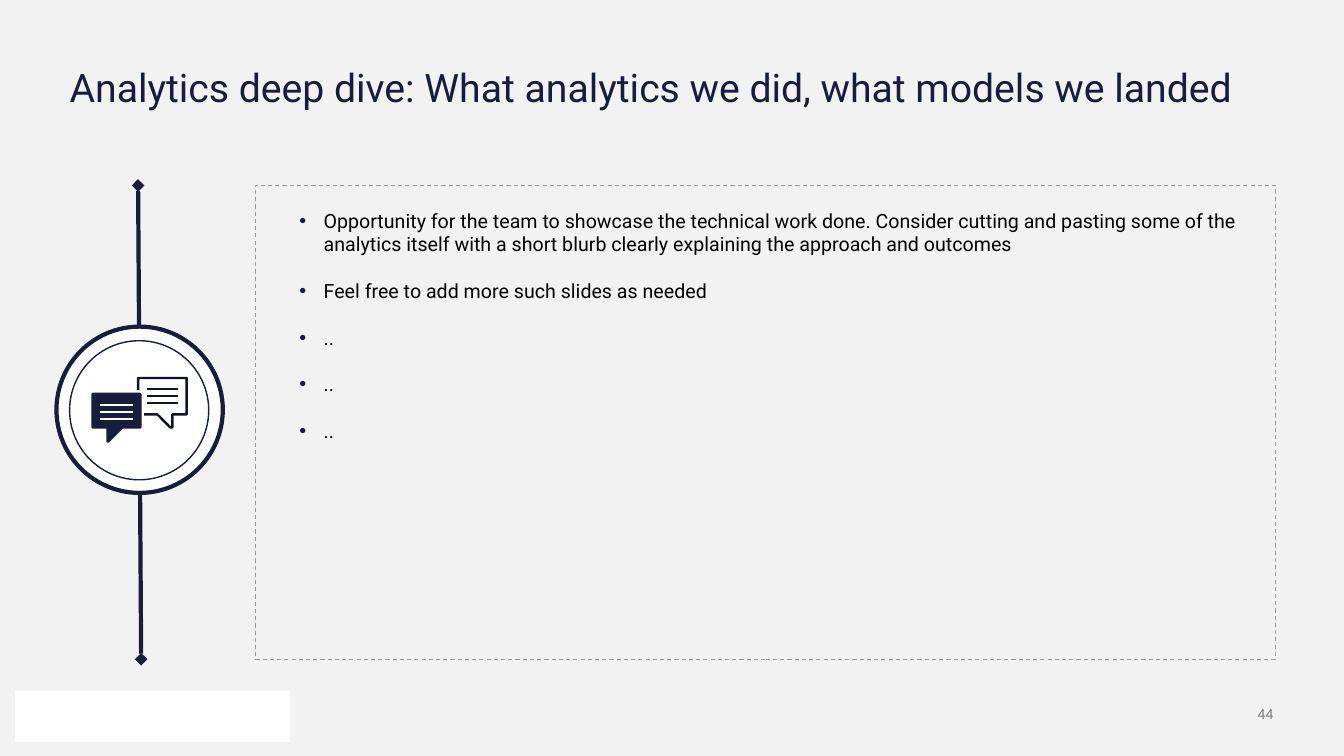
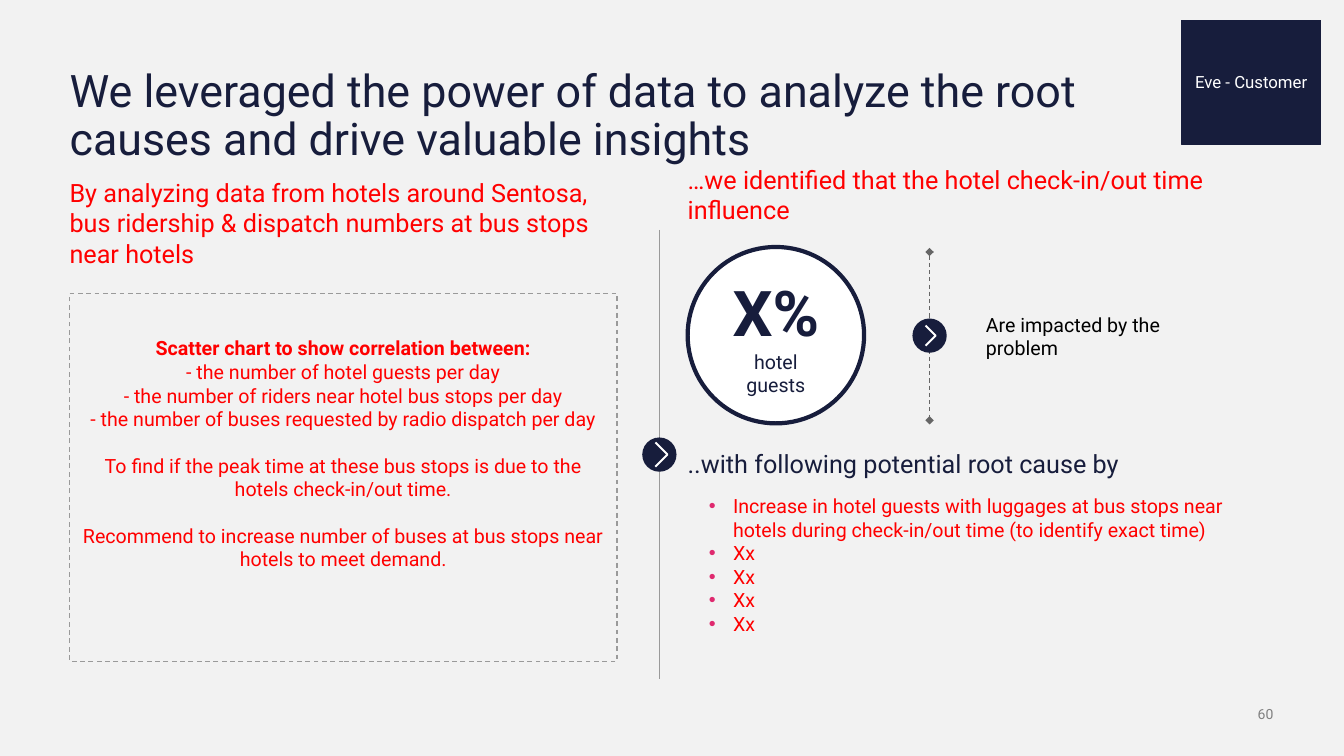
from dataclasses import dataclass
from typing import Optional, Sequence

from lxml import etree
from pptx import Presentation
from pptx.dml.color import RGBColor
from pptx.enum.dml import MSO_LINE
from pptx.enum.shapes import MSO_CONNECTOR, MSO_SHAPE
from pptx.enum.text import MSO_ANCHOR, MSO_AUTO_SIZE, PP_ALIGN
from pptx.oxml.ns import qn
from pptx.util import Inches, Pt

RECTANGLE, ELLIPSE = MSO_SHAPE.RECTANGLE, MSO_SHAPE.OVAL
STRAIGHT = MSO_CONNECTOR.STRAIGHT
DASH = MSO_LINE.DASH
TOP, MIDDLE, BOTTOM = MSO_ANCHOR.TOP, MSO_ANCHOR.MIDDLE, MSO_ANCHOR.BOTTOM
LEFT, CENTER, RIGHT = PP_ALIGN.LEFT, PP_ALIGN.CENTER, PP_ALIGN.RIGHT

NAVY = RGBColor(0x17, 0x1D, 0x3C)
DARK_NAVY = RGBColor(0x0F, 0x13, 0x27)
WHITE = RGBColor(0xFF, 0xFF, 0xFF)
BLACK = RGBColor(0x00, 0x00, 0x00)
RED = RGBColor(0xFF, 0x00, 0x00)
PINK = RGBColor(0xDF, 0x2A, 0x6F)
PALE_GREY = RGBColor(0xF2, 0xF2, 0xF2)
LINE_GREY = RGBColor(0x9A, 0x9A, 0x9A)
ARROW_GREY = RGBColor(0x66, 0x66, 0x66)
NUMBER_GREY = RGBColor(0x80, 0x80, 0x80)

FONT = "Roboto"
BLANK_LINE = 16.5
Point = tuple[float, float]
NO_INSETS = (0, 0, 0, 0)
BOX_INSETS = (0.1, 0.05, 0.1, 0.05)


@dataclass(frozen=True)
class Area:
    left: float
    top: float
    width: float
    height: float

    def lengths(self):
        return [Inches(n) for n in (self.left, self.top, self.width, self.height)]


@dataclass(frozen=True)
class Line:
    text: str
    size: float = 14
    colour: RGBColor = BLACK
    bold: bool = False
    before: float = 0


@dataclass(frozen=True)
class Stroke:
    colour: RGBColor
    width: float = 0.75
    dashed: bool = False


@dataclass(frozen=True)
class Bubble:
    outline: Sequence[Point]
    stroke: Stroke
    fill: Optional[RGBColor]
    rules: Stroke
    rule_left: float
    rule_right: float
    rule_top: float


BUBBLES = (
    Bubble([(0.92, 3.91), (1.39, 3.91), (1.39, 4.24), (1.21, 4.24),
            (1.07, 4.38), (1.07, 4.24), (0.92, 4.24), (0.92, 3.91)],
           Stroke(NAVY, 2), NAVY, Stroke(WHITE, 1.5), 0.99, 1.32, 4.02),
    Bubble([(1.37, 3.87), (1.37, 3.75), (1.85, 3.75), (1.85, 4.11), (1.71, 4.11),
            (1.71, 4.24), (1.69, 4.24), (1.56, 4.11), (1.43, 4.11)],
           Stroke(DARK_NAVY, 1.75), None, Stroke(DARK_NAVY, 1.75), 1.46, 1.77, 3.86),
)
RULE_GAP = 0.07


def apply_stroke(line, stroke: Stroke) -> None:
    line.color.rgb = stroke.colour
    line.width = Pt(stroke.width)
    if stroke.dashed:
        line.dash_style = DASH


def style_shape(shape, fill: Optional[RGBColor], stroke: Optional[Stroke]) -> None:
    shape.shadow.inherit = False
    if fill is None:
        shape.fill.background()
    else:
        shape.fill.solid()
        shape.fill.fore_color.rgb = fill
    if stroke is None:
        shape.line.fill.background()
    else:
        apply_stroke(shape.line, stroke)


def write_lines(shape, lines: Sequence[Line], align=LEFT, anchor=TOP,
                insets=BOX_INSETS, spacing: float = 1.0) -> None:
    frame = shape.text_frame
    frame.word_wrap = True
    frame.auto_size = MSO_AUTO_SIZE.NONE
    frame.vertical_anchor = anchor
    (frame.margin_left, frame.margin_top,
     frame.margin_right, frame.margin_bottom) = map(Inches, insets)
    frame.text = "\n".join(line.text for line in lines)
    for para, line in zip(frame.paragraphs, lines):
        para.alignment = align
        para.line_spacing = spacing
        para.space_before = Pt(line.before)
        for span in para.runs:
            span.font.name = FONT
            span.font.size = Pt(line.size)
            span.font.bold = line.bold
            span.font.color.rgb = line.colour


def add_text(page, area: Area, lines: Sequence[Line], **layout) -> None:
    write_lines(page.shapes.add_textbox(*area.lengths()), lines, **layout)


def add_panel(page, kind, area: Area, fill: Optional[RGBColor] = None,
              stroke: Optional[Stroke] = None):
    panel = page.shapes.add_shape(kind, *area.lengths())
    style_shape(panel, fill, stroke)
    return panel


def add_line(page, start: Point, end: Point, stroke: Stroke,
             diamonds: bool = False) -> None:
    connector = page.shapes.add_connector(STRAIGHT, *map(Inches, start + end))
    apply_stroke(connector.line, stroke)
    properties = connector._element.spPr
    if diamonds:
        for tag in ("a:headEnd", "a:tailEnd"):
            etree.SubElement(properties.find(qn("a:ln")), qn(tag), type="diamond")
    etree.SubElement(properties, qn("a:effectLst"))


def add_outline(page, points: Sequence[Point], stroke: Stroke,
                fill: Optional[RGBColor] = None) -> None:
    corners = [(Inches(x), Inches(y)) for x, y in points]
    builder = page.shapes.build_freeform(*corners[0])
    builder.add_line_segments(corners[1:], close=fill is not None)
    style_shape(builder.convert_to_shape(), fill, stroke)


def add_badge(page, x: float, y: float, arm: float) -> None:
    """Draw a round navy badge with a white chevron, centred on x and y."""
    radius = 0.17
    add_panel(page, ELLIPSE, Area(x - radius, y - radius, 2 * radius, 2 * radius), NAVY)
    back = x - 0.04
    add_outline(page, [(back, y - arm), (back + arm, y), (back, y + arm)],
                Stroke(WHITE, 1.4))


def add_bubble(page, bubble: Bubble) -> None:
    add_outline(page, bubble.outline, bubble.stroke, bubble.fill)
    for row in range(3):
        y = bubble.rule_top + row * RULE_GAP
        add_line(page, (bubble.rule_left, y), (bubble.rule_right, y), bubble.rules)


def fill_placeholder(placeholder, area: Area, lines: Sequence[Line], **layout) -> None:
    (placeholder.left, placeholder.top,
     placeholder.width, placeholder.height) = area.lengths()
    write_lines(placeholder, lines, **layout)


def fill_bullets(page, area: Area, lines: Sequence[Line], bullet: RGBColor) -> None:
    body = page.placeholders[1]
    fill_placeholder(body, area, lines)
    for para in body.text_frame.paragraphs:
        properties = para._p.get_or_add_pPr()
        properties.set("marL", str(Inches(0.35)))
        properties.set("indent", str(Inches(-0.24)))
        colour = etree.SubElement(properties, qn("a:buClr"))
        etree.SubElement(colour, qn("a:srgbClr"), val=str(bullet))
        etree.SubElement(properties, qn("a:buFont"), typeface="Arial")
        etree.SubElement(properties, qn("a:buChar"), char="•")


def add_page(deck, title: str, size: float, area: Area, number: str):
    page = deck.slides.add_slide(deck.slide_layouts[1])
    fill_placeholder(page.shapes.title, area, [Line(title, size, NAVY)],
                     insets=NO_INSETS, spacing=0.9)
    add_text(page, Area(12.21, 7, 0.42, 0.17), [Line(number, 10, NUMBER_GREY)],
             align=RIGHT, anchor=BOTTOM, insets=NO_INSETS)
    return page


def build_deep_dive(deck) -> None:
    page = add_page(deck, "Analytics deep dive: What analytics we did, what models we landed",
                    28, Area(0.69, 0.68, 11.96, 0.42), "44")
    add_panel(page, RECTANGLE, Area(2.53, 1.84, 10.12, 4.7),
              stroke=Stroke(LINE_GREY, dashed=True))
    first = ("Opportunity for the team to showcase the technical work done. Consider cutting "
             "and pasting some of the analytics itself with a short blurb clearly explaining "
             "the approach and outcomes")
    others = ["Feel free to add more such slides as needed"] + [".."] * 3
    fill_bullets(page, Area(2.76, 2.02, 9.71, 2.46),
                 [Line(first)] + [Line(text, before=BLANK_LINE) for text in others], NAVY)
    add_line(page, (1.37, 1.84), (1.4, 6.54), Stroke(NAVY, 3), diamonds=True)
    add_panel(page, ELLIPSE, Area(0.56, 3.24, 1.65, 1.65), WHITE, Stroke(NAVY, 3))
    add_panel(page, RECTANGLE, Area(0.15, 6.85, 2.73, 0.51), WHITE)
    add_panel(page, ELLIPSE, Area(0.69, 3.38, 1.38, 1.38), WHITE, Stroke(NAVY, 1))
    for bubble in BUBBLES:
        add_bubble(page, bubble)


def build_root_causes(deck) -> None:
    page = add_page(deck, "We leveraged the power of data to analyze the root causes "
                    "and drive valuable insights", 32, Area(0.69, 0.68, 10.9, 0.97), "60")
    headings = (
        (Area(0.69, 1.99, 5.56, 0.67), RED, "By analyzing data from hotels around Sentosa, "
         "bus ridership & dispatch numbers at bus stops near hotels"),
        (Area(6.82, 1.99, 5.91, 0.24), RED,
         "…we identified that the hotel check-in/out time influence"),
        (Area(6.82, 4.44, 5.46, 0.31), NAVY, "..with following potential root cause by"),
    )
    for area, colour, text in headings:
        add_text(page, area, [Line(text, 18, colour)], anchor=BOTTOM, insets=NO_INSETS)

    add_line(page, (6.54, 2.28), (6.54, 6.74), Stroke(LINE_GREY))
    add_badge(page, 6.54, 4.51, 0.12)

    chart_note = add_panel(page, RECTANGLE, Area(0.69, 2.91, 5.43, 3.65),
                           stroke=Stroke(LINE_GREY, 0.85, dashed=True))
    write_lines(chart_note, [
        Line("Scatter chart to show correlation between:", colour=RED, bold=True),
        Line("- the number of hotel guests per day", colour=RED),
        Line("- the number of riders near hotel bus stops per day", colour=RED),
        Line("- the number of buses requested by radio dispatch per day", colour=RED),
        Line("To find if the peak time at these bus stops is due to the hotels "
             "check-in/out time.", colour=RED, before=BLANK_LINE),
        Line("Recommend to increase number of buses at bus stops near hotels to meet demand.",
             colour=RED, before=BLANK_LINE),
    ], align=CENTER, anchor=MIDDLE, insets=(0.1, 0.05, 0.1, 0.52))

    causes = ["Increase in hotel guests with luggages at bus stops near hotels during "
              "check-in/out time (to identify exact time)"] + ["Xx"] * 4
    fill_bullets(page, Area(6.82, 4.85, 5.46, 1.51),
                 [Line(text, colour=RED) for text in causes], PINK)

    share = add_panel(page, ELLIPSE, Area(6.82, 2.45, 1.75, 1.75), WHITE, Stroke(NAVY, 3))
    write_lines(share, [Line("X%", 45, NAVY, bold=True), Line("hotel guests", 14, NAVY)],
                align=CENTER, anchor=MIDDLE, insets=(0.1, 0.1, 0.1, 0.1))
    add_text(page, Area(9.68, 3.05, 2.61, 0.57), [Line("Are impacted by the problem")],
             anchor=MIDDLE)
    add_line(page, (9.22, 2.5), (9.22, 4.17), Stroke(ARROW_GREY, dashed=True), diamonds=True)
    add_badge(page, 9.22, 3.33, 0.1)

    tag = add_panel(page, RECTANGLE, Area(11.72, 0.2, 1.38, 1.23), NAVY, Stroke(NAVY))
    write_lines(tag, [Line("Eve - Customer", 12, WHITE)], align=CENTER, anchor=MIDDLE)


def main() -> None:
    deck = Presentation()
    deck.slide_width, deck.slide_height = Inches(13.33), Inches(7.5)
    background = deck.slide_master.background.fill
    background.solid()
    background.fore_color.rgb = PALE_GREY
    build_deep_dive(deck)
    build_root_causes(deck)
    deck.save("out.pptx")


if __name__ == "__main__":
    main()
